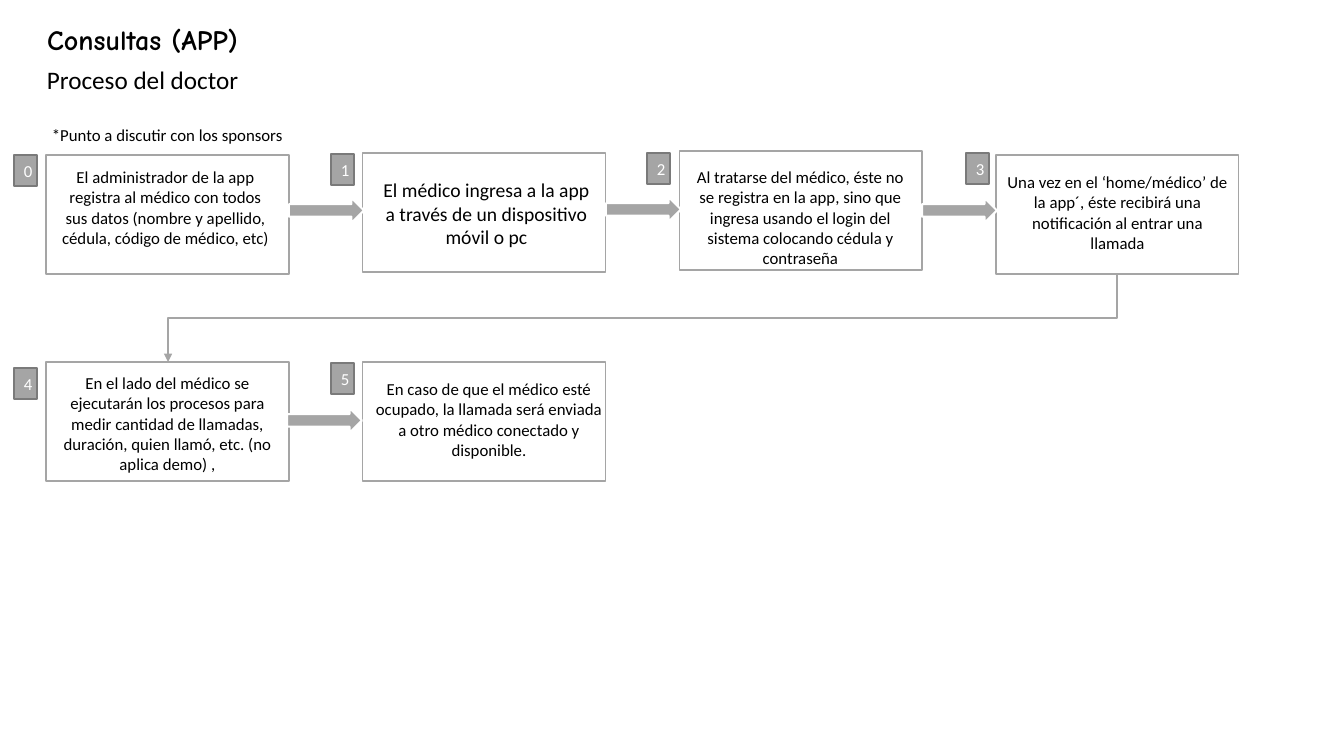
from collections import namedtuple

from lxml.etree import SubElement
from pptx import Presentation
from pptx.dml.color import RGBColor
from pptx.enum.shapes import MSO_CONNECTOR as Connector, MSO_SHAPE as Shape
from pptx.enum.text import MSO_ANCHOR as Anchor, MSO_AUTO_SIZE as AutoSize, PP_ALIGN as Align
from pptx.oxml.ns import qn
from pptx.util import Emu, Pt

BLACK = RGBColor(0, 0, 0)
WHITE = RGBColor(255, 255, 255)
GRAY = RGBColor(0xA5, 0xA5, 0xA5)
DARK_GRAY = RGBColor(0x7A, 0x7A, 0x7A)
EMU_PER_PIXEL = 914400 / 100.8
BOX_WIDTH, BOX_HEIGHT = 243, 119
COLUMN_LEFT, COLUMN_PITCH = 46, 316.6

Step = namedtuple("Step", "column box_top badge text_area size text")
STEPS = [
    Step(0, 155, (14, 155), (52, 162, 227, 112), 12,
         "El administrador de la app registra al médico con todos sus datos "
         "(nombre y apellido, cédula, código de médico, etc)"),
    Step(1, 153, (331, 154), (373, 173, 227, 82), 14,
         "El médico ingresa a la app a través de un dispositivo móvil o pc"),
    Step(2, 151, (647, 153), (687, 162, 227, 112), 12,
         "Al tratarse del médico, éste no se registra en la app, sino que "
         "ingresa usando el login del sistema colocando cédula y contraseña"),
    Step(3, 155, (966, 153), (996, 167, 243, 92), 12,
         "Una vez en el ‘home/médico’ de la app´, éste recibirá una "
         "notificación al entrar una llamada"),
    Step(0, 362, (14, 368), (49, 368, 237, 112), 12,
         "En el lado del médico se ejecutarán los procesos para medir cantidad "
         "de llamadas, duración, quien llamó, etc. (no aplica demo) ,"),
    Step(1, 362, (331, 363), (362, 374, 254, 92), 12,
         "En caso de que el médico esté ocupado, la llamada será enviada a "
         "otro médico conectado y disponible."),
]
ARROWS = [(289, 198), (606, 197), (922, 198), (287, 408)]


def pixels(*lengths):
    return [Emu(round(length * EMU_PER_PIXEL)) for length in lengths]


def write_text(shape, text, size, color=BLACK, align=Align.LEFT, font="Calibri", bold=False):
    frame = shape.text_frame
    frame.word_wrap = True
    frame.auto_size = AutoSize.SHAPE_TO_FIT_TEXT
    frame.text = text
    paragraph = frame.paragraphs[0]
    paragraph.alignment = align
    paragraph.font.name = font
    paragraph.font.size = Pt(size)
    paragraph.font.bold = bold
    paragraph.font.color.rgb = color


def add_title(slide, area, text):
    title = slide.shapes.title
    title.left, title.top, title.width, title.height = pixels(*area)
    write_text(title, text, 20, font="Comic Neue", bold=True)
    title.text_frame.vertical_anchor = Anchor.TOP


def add_text(slide, area, text, size, align=Align.LEFT):
    write_text(slide.shapes.add_textbox(*pixels(*area)), text, size, align=align)


def add_block(slide, kind, area, fill, line, line_width=1):
    shape = slide.shapes.add_shape(kind, *pixels(*area))
    shape.shadow.inherit = False
    shape.fill.solid()
    shape.fill.fore_color.rgb = fill
    shape.line.color.rgb = line
    shape.line.width = Pt(line_width)
    return shape


def add_step(slide, number, step):
    left = COLUMN_LEFT + step.column * COLUMN_PITCH
    add_block(slide, Shape.RECTANGLE, (left, step.box_top, BOX_WIDTH, BOX_HEIGHT), WHITE, GRAY)
    add_text(slide, step.text_area, step.text, step.size, Align.CENTER)
    badge = add_block(slide, Shape.RECTANGLE, (*step.badge, 23, 31), GRAY, DARK_GRAY)
    write_text(badge, str(number), 12, WHITE, Align.CENTER)


def add_return_connector(slide, start, end):
    (start_x, start_y), (end_x, end_y) = start, end
    width, height = end_y - start_y, start_x - end_x
    left = (start_x + end_x - width) / 2
    top = (start_y + end_y - height) / 2
    connector = slide.shapes.add_connector(
        Connector.ELBOW, *pixels(left, top, left + width, top + height))
    connector.line.color.rgb = GRAY
    connector.line.width = Pt(1)
    properties = connector._element.spPr
    properties.find(qn("a:xfrm")).set("rot", str(90 * 60000))
    SubElement(properties.find(qn("a:ln")), qn("a:tailEnd"), type="triangle")
    SubElement(properties, qn("a:effectLst"))


def main():
    presentation = Presentation()
    presentation.slide_width, presentation.slide_height = pixels(1344, 756)
    slide = presentation.slides.add_slide(presentation.slide_layouts[5])
    add_title(slide, (37, 17, 396, 44), "Consultas (APP)")
    add_text(slide, (37, 59, 366, 40), "Proceso del doctor", 18)
    add_text(slide, (42, 120, 361, 30), "*Punto a discutir con los sponsors", 12)
    for number, step in enumerate(STEPS):
        add_step(slide, number, step)
    for left, top in ARROWS:
        add_block(slide, Shape.RIGHT_ARROW, (left, top, 75, 25), GRAY, WHITE, 1.5)
    add_return_connector(slide, (1117, 274), (168, 362))
    presentation.save("out.pptx")


main()
